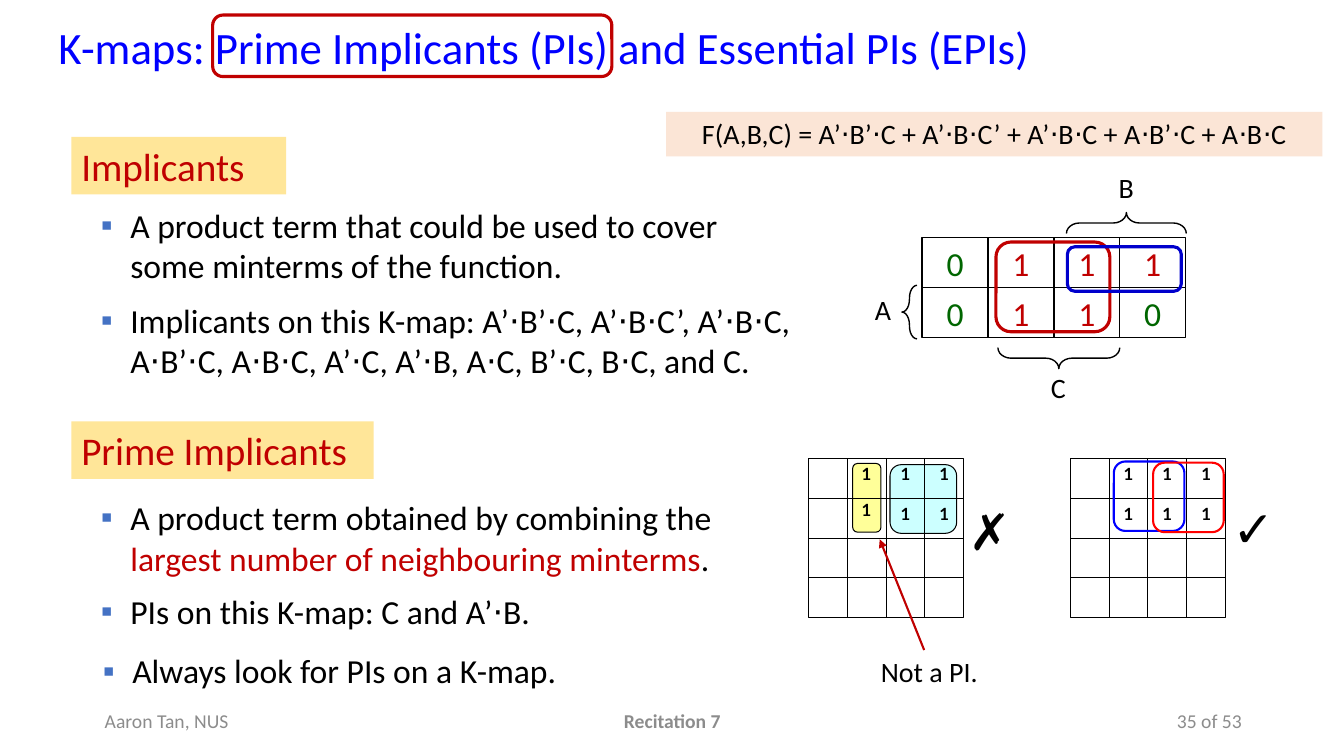
from dataclasses import dataclass
from typing import Optional

from lxml import etree
from pptx import Presentation
from pptx.dml.color import RGBColor
from pptx.enum.shapes import MSO_CONNECTOR, MSO_SHAPE
from pptx.enum.text import MSO_ANCHOR, MSO_AUTO_SIZE, PP_ALIGN
from pptx.oxml.ns import qn
from pptx.util import Cm, Pt

RECT, ROUND, BRACE = MSO_SHAPE.RECTANGLE, MSO_SHAPE.ROUNDED_RECTANGLE, MSO_SHAPE.LEFT_BRACE
LEFT, CENTER, RIGHT = PP_ALIGN.LEFT, PP_ALIGN.CENTER, PP_ALIGN.RIGHT
TOP, MIDDLE = MSO_ANCHOR.TOP, MSO_ANCHOR.MIDDLE
STRAIGHT = MSO_CONNECTOR.STRAIGHT
NO_FIT = MSO_AUTO_SIZE.NONE
BLACK, RED, GREEN, GREY = "000000", "C00000", "006600", "8C8C8C"

Box = tuple[float, float, float, float]
Run = tuple[str, str]


@dataclass
class Label:
    text: str
    box: Box
    size: float = 20
    color: str = BLACK
    align: PP_ALIGN = LEFT
    bold: bool = False
    font: str = "Calibri"
    anchor: MSO_ANCHOR = TOP
    fill: Optional[str] = None
    line: Optional[str] = None


@dataclass
class Loop:
    box: Box
    line: str
    width: float
    fill: Optional[str] = None


@dataclass
class Brace:
    box: Box
    curve: float
    rotation: float = 0


@dataclass
class Grid:
    left: float
    lowered: tuple[int, int] | None = None


def rgb(value: str) -> RGBColor:
    return RGBColor.from_string(value)


def lengths(box: Box) -> list[Cm]:
    return [Cm(v) for v in box]


def add_run(p, text: str, *, size: float, color: str = BLACK, bold: bool = False,
            font: str = "Calibri") -> None:
    r = p.add_run()
    r.text = text
    r.font.size, r.font.bold, r.font.name = Pt(size), bold, font
    r.font.color.rgb = rgb(color)


def add_box(kind, box: Box, *, fill: Optional[str] = None, line: Optional[str] = None,
            width: float = 0.75):
    sp = s.shapes.add_shape(kind, *lengths(box))
    sp.shadow.inherit = False
    if fill:
        sp.fill.solid()
        sp.fill.fore_color.rgb = rgb(fill)
    else:
        sp.fill.background()
    if line:
        sp.line.color.rgb = rgb(line)
        sp.line.width = Pt(width)
    else:
        sp.line.fill.background()
    return sp


def add_label(label: Label) -> None:
    if label.fill:
        sp = add_box(RECT, label.box, fill=label.fill, line=label.line, width=1)
    else:
        sp = s.shapes.add_textbox(*lengths(label.box))
    tf = sp.text_frame
    tf.word_wrap, tf.vertical_anchor = True, label.anchor
    p = tf.paragraphs[0]
    p.alignment = label.align
    add_run(p, label.text, size=label.size, color=label.color, bold=label.bold, font=label.font)


def add_loop(loop: Loop) -> None:
    add_box(ROUND, loop.box, fill=loop.fill, line=loop.line, width=loop.width)


def add_brace(brace: Brace) -> None:
    sp = add_box(BRACE, brace.box, line=BLACK, width=1)
    sp.adjustments[0] = brace.curve
    sp.rotation = brace.rotation


def add_line(x1: float, y1: float, x2: float, y2: float, color: str = BLACK, width: float = 0.75):
    cx = s.shapes.add_connector(STRAIGHT, Cm(x1), Cm(y1), Cm(x2), Cm(y2))
    cx.line.color.rgb = rgb(color)
    cx.line.width = Pt(width)
    etree.SubElement(cx._element.spPr, qn("a:effectLst"))
    return cx


def add_grid(grid: Grid) -> None:
    x, y, w, h = grid.left, 11.56, 0.98, 1.0
    frame = add_box(RECT, (x, y, 4 * w, 4 * h), line=BLACK)
    for i in range(1, 4):
        across = add_line(x, y + i * h, x + 4 * w, y + i * h)
        down = add_line(x + i * w, y, x + i * w, y + 4 * h)
        if i == 2:
            for cx, start, end in ((across, 1, 3), (down, 0, 2)):
                cx.begin_connect(frame, start)
                cx.end_connect(frame, end)
    for row in range(2):
        for col in range(1, 4):
            drop = -0.1 if (row, col) == grid.lowered else 0
            add_label(Label("1", (x + col * w, y + row * h + drop, w, h), 12, align=CENTER,
                            bold=True, font="Lato"))


def place(sp, box: Box):
    sp.left, sp.top, sp.width, sp.height = lengths(box)
    tf = sp.text_frame
    tf.word_wrap, tf.vertical_anchor, tf.auto_size = True, TOP, NO_FIT
    return tf


def add_bullets(sp, box: Box, items: list[list[Run]]) -> None:
    tf = place(sp, box)
    for i, runs in enumerate(items):
        p = tf.add_paragraph() if i else tf.paragraphs[0]
        pPr = p._p.get_or_add_pPr()
        pPr.set("marL", str(Cm(0.74)))
        pPr.set("indent", str(Cm(-0.74)))
        color = etree.SubElement(pPr, qn("a:buClr"))
        etree.SubElement(color, qn("a:srgbClr"), val="4472C4")
        etree.SubElement(pPr, qn("a:buFont"), typeface="Arial")
        etree.SubElement(pPr, qn("a:buChar"), char="▪")
        p.alignment = LEFT
        p.space_before = Pt(9.4 if i else 0)
        for text, run_color in runs:
            add_run(p, text, size=24, color=run_color)


prs = Presentation()
prs.slide_width, prs.slide_height = Cm(33.87), Cm(19.05)
s = prs.slides.add_slide(prs.slide_layouts[4])

tf = place(s.shapes.title, (1.22, 0.38, 26.77, 1.93))
tf.paragraphs[0].alignment = LEFT
add_run(tf.paragraphs[0], "K-maps: Prime Implicants (PIs) and Essential PIs (EPIs)", size=32, color="0000FF")

BULLETS = [
    ((2.29, 5.03, 17.65, 2.57),
     [[("A product term that could be used to cover some minterms of the function.", BLACK)]]),
    ((2.29, 7.42, 19.66, 2.57),
     [[("Implicants on this K-map: A’⋅B’⋅C, A’⋅B⋅C’, A’⋅B⋅C, A⋅B’⋅C, A⋅B⋅C, "
        "A’⋅C, A’⋅B, A⋅C, B’⋅C, B⋅C, and C.", BLACK)]]),
    ((2.29, 12.4, 16.79, 3.84),
     [[("A product term obtained by combining the ", BLACK),
       ("largest number of neighbouring minterms", RED), (".", BLACK)],
      [("PIs on this K-map: C and A’⋅B.", BLACK)]]),
    ((2.34, 16.26, 12.12, 1.45), [[("Always look for PIs on a K-map.", BLACK)]]),
]
for idx, (box, items) in enumerate(BULLETS, 1):
    add_bullets(s.placeholders[idx], box, items)

for row, values in enumerate(("0111", "0110")):
    for col, value in enumerate(values):
        add_label(Label(value, (23.24 + col * 1.66, 5.99 + row * 1.26, 1.66, 1.26), 24,
                        RED if value == "1" else GREEN, CENTER, fill="FFFFFF", line=BLACK))

LABELS = [
    Label("Implicants", (1.8, 3.45, 5.41, 1.45), 28, RED, fill="FFE699"),
    Label("Prime Implicants", (1.8, 10.62, 7.62, 1.45), 28, RED, fill="FFE699"),
    Label("F(A,B,C) = A’⋅B’⋅C + A’⋅B⋅C’ + A’⋅B⋅C + A⋅B’⋅C + A⋅B⋅C", (16.79, 2.82, 16.54, 1.12),
          align=CENTER, fill="FBE5D6"),
    Label("A", (21.59, 7.24, 1.32, 1.12), align=CENTER),
    Label("B", (27.71, 4.17, 1.35, 1.12), align=CENTER),
    Label("C", (26.04, 9.22, 1.27, 1.12), align=CENTER),
    Label("✗", (24.16, 12.47, 1.96, 2.34), 36, font="Arial"),
    Label("✓", (30.81, 12.4, 1.65, 2.34), 36, font="Arial"),
    Label("Not a PI.", (21.95, 16.38, 3.63, 1.12)),
    Label("Aaron Tan, NUS", (2.39, 17.65, 7.62, 1.02), 14, GREY, anchor=MIDDLE),
    Label("Recitation 7", (11.23, 17.65, 11.43, 1.02), 14, GREY, CENTER, True, anchor=MIDDLE),
    Label("35 of 53", (23.93, 17.65, 7.62, 1.02), 14, GREY, RIGHT, anchor=MIDDLE),
]
BRACES = [
    Brace((22.73, 7.19, 0.38, 1.35), 0.85),
    Brace((28.12, 4.11, 0.53, 3.02), 0.62, 90),
    Brace((26.42, 7.49, 0.53, 3.07), 0.62, 270),
]
FILLED_LOOPS = [
    Loop((22.43, 11.71, 1.68, 1.73), BLACK, 0.75, "CCFFFF"),
    Loop((21.49, 11.68, 0.71, 1.73), BLACK, 0.75, "FFFF99"),
]
OPEN_LOOPS = [
    Loop((25.1, 6.1, 2.87, 2.26), RED, 2.25),
    Loop((26.9, 6.22, 2.87, 1.12), "0000CC", 2.25),
    Loop((28.07, 11.63, 1.78, 1.75), "0000FF", 1.5),
    Loop((29.06, 11.66, 1.78, 1.75), "FF0000", 1.5),
    Loop((5.36, 0.38, 10.06, 1.55), RED, 2.25),
]
for draw, things in ((add_label, LABELS), (add_brace, BRACES), (add_loop, FILLED_LOOPS),
                     (add_grid, [Grid(20.37, (1, 1)), Grid(26.97)]), (add_loop, OPEN_LOOPS)):
    for thing in things:
        draw(thing)

arrow = add_line(23.29, 16.38, 22.17, 13.59, RED, 1.5)
etree.SubElement(arrow.line._get_or_add_ln(), qn("a:tailEnd"), type="triangle")

prs.save("out.pptx")
